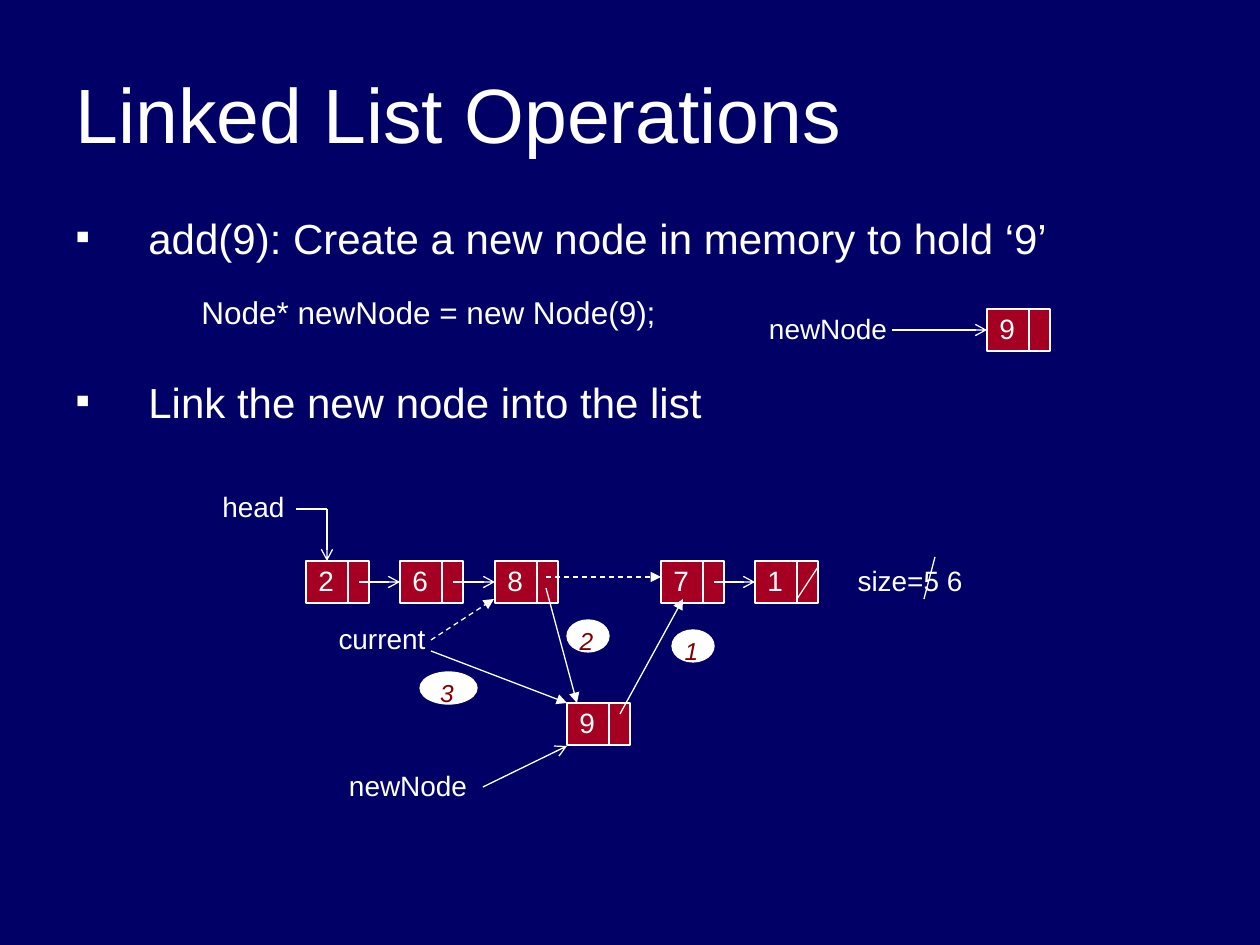
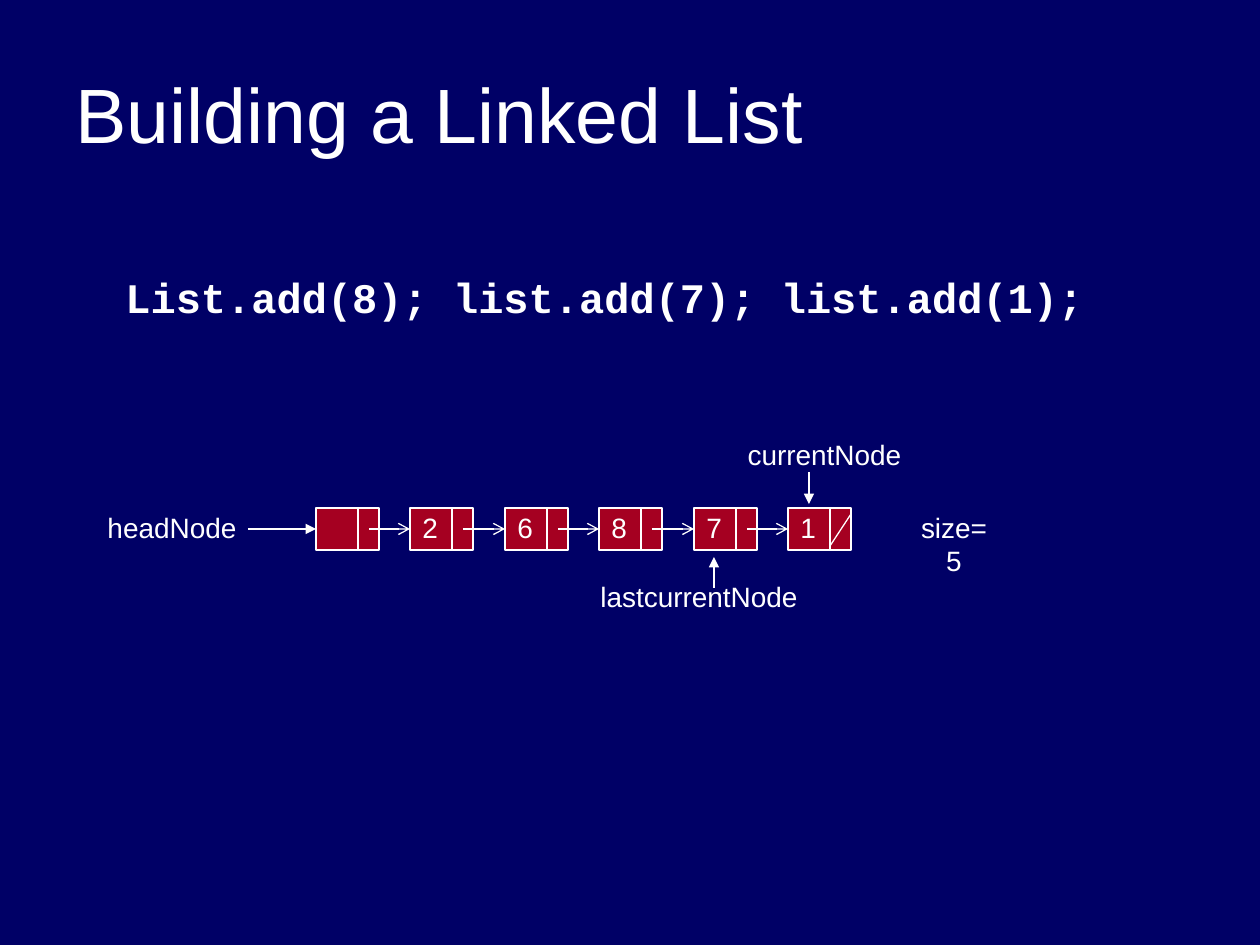
from lxml import etree
from pptx import Presentation
from pptx import util as u
from pptx.dml.color import RGBColor
from pptx.enum import dml, shapes, text
from pptx.oxml import ns

NAVY = RGBColor(0x00, 0x00, 0x66)
RED = RGBColor(0xA5, 0x00, 0x21)
MAROON = RGBColor(0x80, 0x00, 0x00)
WHITE = RGBColor(0xFF, 0xFF, 0xFF)

NODE_W, NODE_H, CELL_W = 63, 42, 42
MID = NODE_H // 2
LABEL_H, LABEL_UP = 47, 4  # a label sits slightly above its node's top


def px(n):
    return u.Emu(round(n * 914400 / 126))


def add_sub(parent, tag, **attrs):
    return etree.SubElement(parent, ns.qn(tag), attrs)


def box(sl, x, y, w, h, wrap=True):
    frame = sl.shapes.add_textbox(px(x), px(y), px(w), px(h)).text_frame
    frame.word_wrap = wrap
    return frame


def write(par, words, size, color=WHITE, font="Arial", bold=False, italic=False):
    run = par.add_run()
    run.text = words
    run.font.size, run.font.name = u.Pt(size), font
    run.font.bold, run.font.italic = bold, italic
    run.font.color.rgb = color


def indent(par, left, first=0, bullet=None):
    """Set the left margin and first-line offset in px, with an optional bullet."""
    props = par._p.get_or_add_pPr()
    props.set("marL", str(px(left)))
    props.set("indent", str(px(first)))
    if bullet:
        add_sub(props, "a:buFont", typeface="Arial")
        add_sub(props, "a:buChar", char=bullet)


def label(sl, x, y, w, words, size=16, color=WHITE, italic=False):
    par = box(sl, x, y, w, LABEL_H, wrap=False).paragraphs[0]
    par.alignment = text.PP_ALIGN.CENTER
    write(par, words, size, color, italic=italic)


def shape(sl, kind, x, y, w, h, fill):
    item = sl.shapes.add_shape(kind, px(x), px(y), px(w), px(h))
    item.shadow.inherit = False
    item.fill.solid()
    item.fill.fore_color.rgb = fill
    item.line.color.rgb = WHITE
    item.line.width = u.Pt(0.75)
    return item


def line(sl, x1, y1, x2, y2, tip=None, dash=False, goal=None):
    """Draw a line; goal is a (shape, side) pair that its end is joined to."""
    item = sl.shapes.add_connector(
        shapes.MSO_CONNECTOR.STRAIGHT, px(x1), px(y1), px(x2), px(y2))
    item.line.color.rgb = WHITE
    item.line.width = u.Pt(0.75)
    if dash:
        item.line.dash_style = dml.MSO_LINE.DASH
    if tip:
        add_sub(item.line._get_or_add_ln(), "a:tailEnd", type=tip)
    add_sub(item._element.spPr, "a:effectLst")
    if goal:
        item.end_connect(*goal)


def node(sl, x, y, value):
    rect = shape(sl, shapes.MSO_SHAPE.RECTANGLE, x, y, NODE_W, NODE_H, RED)
    line(sl, x + CELL_W, y, x + CELL_W, y + NODE_H)
    if value:
        write(box(sl, x, y - LABEL_UP, CELL_W, LABEL_H).paragraphs[0], value, 16)
    return rect


def chain(sl, x, y, values, ends=True):
    """Draw linked nodes; ends adds the null slash to the last one."""
    lefts = [x + i * 189 // 2 for i in range(len(values))]
    rects = [node(sl, left, y, value) for left, value in zip(lefts, values)]
    for left, after, rect in zip(lefts, lefts[1:], rects[1:]):
        line(sl, left + 53, y + MID, after, y + MID, "arrow", goal=(rect, 1))
    if ends:
        line(sl, lefts[-1] + NODE_W, y + 6, lefts[-1] + CELL_W, y + 38)
    return rects


def badge(sl, x, y, w, words):
    shape(sl, shapes.MSO_SHAPE.OVAL, x, y, w, 32, WHITE)
    label(sl, x, y, w - 3, words, 14, MAROON, italic=True)


def page(prs, title):
    sl = prs.slides.add_slide(prs.slide_layouts[6])
    frame = box(sl, 63, 50, 1134, 126)
    frame.vertical_anchor = text.MSO_ANCHOR.MIDDLE
    write(frame.paragraphs[0], title, 44)
    return sl


def steps(sl, x, y):
    frame = box(sl, x, y, 1134, 220)
    rows = [
        ("add(9): Create a new node in memory to hold ‘9’", 24, 4.5, 73, -73, "▪"),
        ("Node* newNode = new Node(9);", 18, 24, 126, 0, None),
        ("Link the new node into the list", 24, 34.5, 73, -73, "▪"),
    ]
    for i, (words, size, before, left, first, bullet) in enumerate(rows):
        par = frame.add_paragraph() if i else frame.paragraphs[0]
        par.line_spacing = 0.7
        par.space_before = u.Pt(before)
        indent(par, left, first, bullet)
        write(par, words, size)


def fresh(sl, x, y):
    """Draw the new node at x, y with its pointer on the left."""
    rect = node(sl, x, y, "9")
    label(sl, x - 231, y - LABEL_UP, 144, "newNode")
    line(sl, x - 95, y + MID, x, y + MID, "arrow", goal=(rect, 1))


def insertion(sl, x, y):
    """Draw the list whose first node is at x, y, and the steps of linking in 9."""
    chain(sl, x, y, "268", ends=False)
    chain(sl, x + 355, y, "71")
    node(sl, x + 261, y + 142, "9")

    for dx, dy, w, words in [
        (-96, -78, 87, "head"), (20, 54, 112, "current"),
        (539, -LABEL_UP, 130, "size=5 6"), (30, 201, 144, "newNode"),
    ]:
        label(sl, x + dx, y + dy, w, words)

    for x1, y1, x2, y2, tip, dash in [
        (-10, -52, 21, -52, None, False),        # head
        (21, -52, 21, 0, "arrow", False),
        (177, 226, 261, 185, "arrow", False),    # newNode
        (314, 153, 377, 38, "triangle", False),  # 9 to 7
        (240, 27, 271, 142, "triangle", False),  # 8 to 9
        (125, 90, 261, 142, "triangle", False),  # current, after
        (125, 79, 188, 38, "triangle", True),    # current, before
        (240, 16, 355, 16, "triangle", True),    # 8 to 7, before
        (629, -4, 618, 38, None, False),         # old size struck out
    ]:
        line(sl, x + x1, y + y1, x + x2, y + y2, tip, dash)

    for dx, dy, w, words in [(366, 69, 42, "1"), (261, 59, 42, "2"),
                             (114, 111, 57, "3")]:
        badge(sl, x + dx, y + dy, w, words)


def code(sl, x, y):
    par = box(sl, x, y, 1134, 81).paragraphs[0]
    par.line_spacing = 0.8
    par.space_before = u.Pt(6)
    indent(par, 50)
    write(par, "List.add(8); list.add(7); list.add(1);", 24,
          font="Courier New", bold=True)


def built(sl, x, y):
    """Draw the finished list whose head node is at x, y."""
    head = chain(sl, x, y, ["", *"26871"])[0]
    for dx, dy, w, words in [
        (-221, -LABEL_UP, 154, "headNode"), (419, -77, 179, "currentNode"),
        (585, -LABEL_UP, 106, "size=5"), (272, 65, 222, "lastcurrentNode"),
    ]:
        label(sl, x + dx, y + dy, w, words)
    line(sl, x - 68, y + MID, x, y + MID, "triangle", goal=(head, 1))
    line(sl, x + 493, y - 36, x + 493, y - 4, "triangle")
    line(sl, x + 398, y + 80, x + 398, y + 49, "triangle")


def main():
    prs = Presentation()
    prs.slide_width, prs.slide_height = px(1260), px(945)
    back = prs.slide_master.background.fill
    back.solid()
    back.fore_color.rgb = NAVY

    sl = page(prs, "Linked List Operations")
    steps(sl, 63, 220)
    fresh(sl, 987, 309)
    insertion(sl, 306, 561)

    sl = page(prs, "Building a Linked List")
    code(sl, 63, 275)
    built(sl, 316, 508)

    prs.save("out.pptx")


if __name__ == "__main__":
    main()
